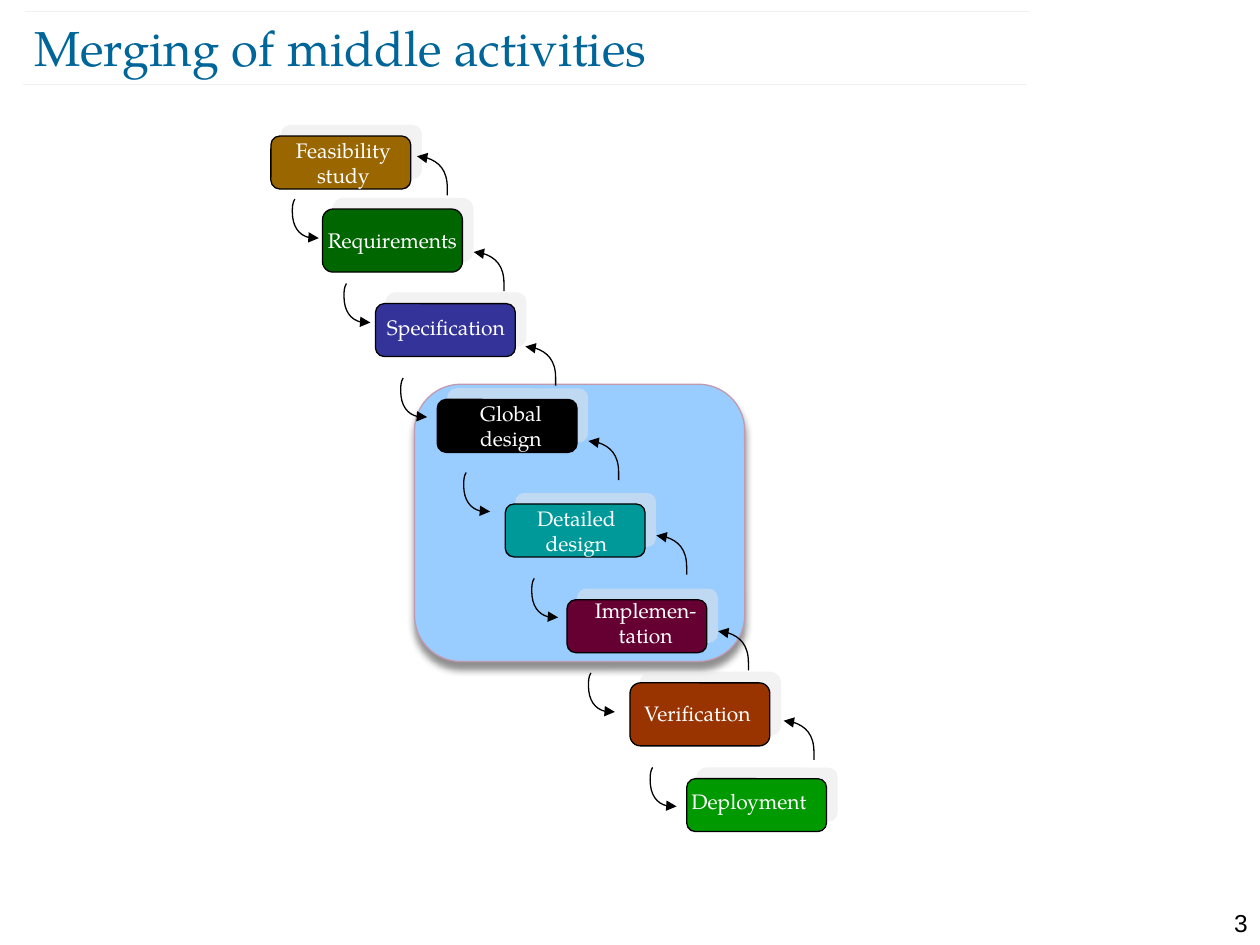
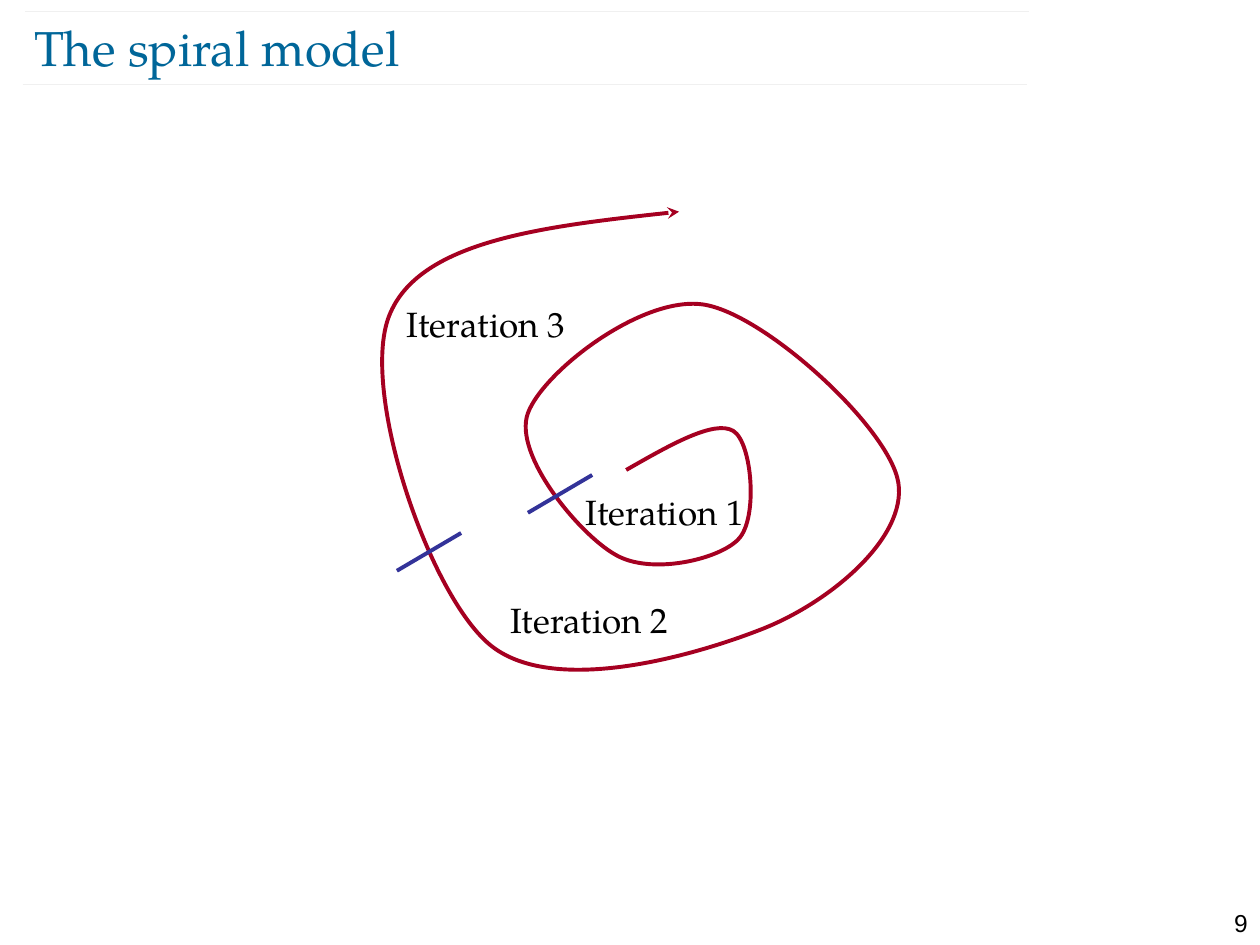
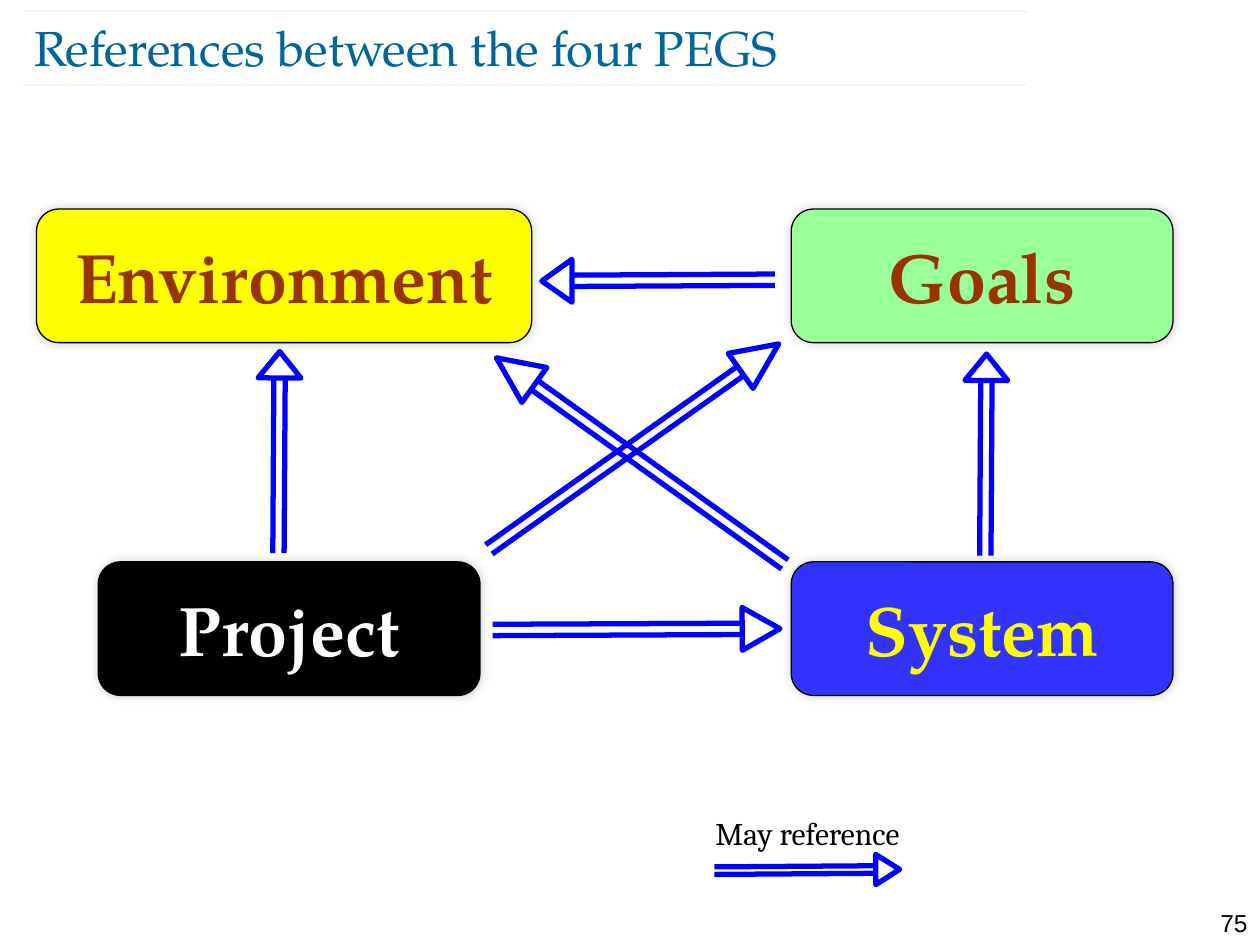
from dataclasses import dataclass
from math import atan2, cos, degrees, sin

from lxml.etree import SubElement
from pptx import Presentation
from pptx.dml.color import RGBColor
from pptx.enum.shapes import MSO_CONNECTOR, MSO_SHAPE
from pptx.enum.text import MSO_ANCHOR, PP_ALIGN
from pptx.oxml.ns import qn
from pptx.util import Inches, Pt


@dataclass(frozen=True)
class Theme:
    serif: str = "TeX Gyre Pagella"
    legend_font: str = "Cambria"
    number_font: str = "Arial"
    title: str = "006699"
    rule: str = "F0F0F0"
    black: str = "000000"
    white: str = "FFFFFF"
    brown: str = "993300"
    yellow: str = "FFFF00"
    merged_fill: str = "99CCFF"
    merged_line: str = "C29AB0"
    echo: str = "E7E6E6"
    spiral: str = "A50021"
    cut: str = "333399"
    reference: str = "0000FF"
    title_size: int = 28
    step_size: int = 12
    number_size: int = 14
    iteration_size: int = 20
    legend_size: int = 18
    part_size: int = 40


theme = Theme()


def write(shape, text, size, color=theme.black, font=theme.serif, bold=False,
          align=PP_ALIGN.LEFT, anchor=MSO_ANCHOR.TOP, wrap=True, inset=None):
    frame = shape.text_frame
    frame.word_wrap = wrap
    frame.vertical_anchor = anchor
    if inset is not None:
        frame.margin_left = frame.margin_right = Inches(inset)
        frame.margin_top = frame.margin_bottom = Inches(inset)
    paragraph = frame.paragraphs[0]
    paragraph.text = text
    paragraph.alignment = align
    for run in paragraph.runs:
        run.font.name = font
        run.font.size = Pt(size)
        run.font.bold = bold
        run.font.color.rgb = RGBColor.from_string(color)
    for line_break in paragraph._p.iter(qn("a:br")):
        SubElement(line_break, qn("a:rPr"), sz=str(size * 100))


def draw_curve(slide, points, color, width, arrow_end, arrow_type):
    start, *controls = [(Inches(x), Inches(y)) for x, y in points]
    builder = slide.shapes.build_freeform(*start)
    builder.add_line_segments(controls, close=False)
    curve = builder.convert_to_shape()
    outline = next(curve._element.iter(qn("a:path")))
    segments = list(outline.iter(qn("a:lnTo")))
    for first in range(0, len(segments), 3):
        bezier = SubElement(outline, qn("a:cubicBezTo"))
        for segment in segments[first:first + 3]:
            bezier.append(segment[0])
            outline.remove(segment)
    curve.fill.background()
    curve.line.color.rgb = RGBColor.from_string(color)
    curve.line.width = Pt(width)
    curve.shadow.inherit = False
    SubElement(curve.line._get_or_add_ln(), qn(arrow_end), type=arrow_type)


deck = Presentation()
deck.slide_width, deck.slide_height = Inches(10), Inches(7.5)
slides = []
straight_lines = []
panels = []

for title, number in [
    ("Merging of middle activities", "3"),
    ("The spiral model", "9"),
    ("References between the four PEGS", "75"),
]:
    slide = deck.slides.add_slide(deck.slide_layouts[6])
    slides.append(slide)
    page_number = slide.shapes.add_textbox(Inches(9.45), Inches(7.16), Inches(0.55), Inches(0.24))
    write(page_number, number, theme.number_size, font=theme.number_font, align=PP_ALIGN.RIGHT)
    for left, top in [(0.18, 0.67), (0.2, 0.09)]:
        rule = slide.shapes.add_connector(
            MSO_CONNECTOR.STRAIGHT, Inches(left), Inches(top), Inches(left + 7.97), Inches(top))
        straight_lines.append((rule, theme.rule, 0.5))
    heading = slide.shapes.add_textbox(Inches(0.27), Inches(0.13), Inches(8.69), Inches(0.48))
    write(heading, title, theme.title_size, theme.title, anchor=MSO_ANCHOR.MIDDLE, inset=0)

waterfall, spiral, pegs = slides

merged = waterfall.shapes.add_shape(
    MSO_SHAPE.ROUNDED_RECTANGLE, Inches(3.29), Inches(3.05), Inches(2.62), Inches(2.2))
merged_shadow = (theme.black, 43, 4, 4, 90)
echo_shadow = (theme.echo, 50, 0, 8.5, 315)
glow_shadow = (theme.black, 20, 6, 0, 315)
panels.append((merged, theme.merged_fill, theme.merged_line, merged_shadow))

forward_curve = [(0.02, 0), (0, 0.03), (0, 0.07), (0, 0.1), (0, 0.22), (0.07, 0.31),
                 (0.17, 0.31), (0.18, 0.31), (0.19, 0.31), (0.21, 0.31)]
back_curve = [(0, 0), (0.14, 0), (0.24, 0.11), (0.24, 0.25),
              (0.24, 0.27), (0.24, 0.29), (0.24, 0.31)]

steps = [
    ("Feasibility\nstudy", "996600", (2.15, 1.08, 0.42), (2.23, 1.09, 0.99)),
    ("Requirements", "006600", (2.56, 1.66, 0.5), (2.58, 1.81, 1.07)),
    ("Specification", "333399", (2.98, 2.41, 0.42), (3.02, 2.5, 1.04)),
    ("Global\ndesign", "000000", (3.47, 3.17, 0.42), (3.56, 3.18, 0.99)),
    ("Detailed\ndesign", "009999", (4.01, 4, 0.42), (4.08, 4.01, 0.99)),
    ("Implemen-\ntation", "660033", (4.5, 4.76, 0.42), (4.51, 4.74, 1.23)),
    ("Verification", "993300", (5, 5.42, 0.5), (5.04, 5.56, 0.99)),
    ("Deployment", "009900", (5.45, 6.18, 0.42), (5.29, 6.26, 1.31)),
]
for name, fill, (left, top, height), (label_left, label_top, label_width) in steps:
    step = waterfall.shapes.add_shape(
        MSO_SHAPE.ROUNDED_RECTANGLE, Inches(left), Inches(top), Inches(1.11), Inches(height))
    panels.append((step, fill, theme.black, echo_shadow))
    label = waterfall.shapes.add_textbox(
        Inches(label_left), Inches(label_top), Inches(label_width),
        Inches(0.2 * len(name.split("\n"))))
    write(label, name, theme.step_size, theme.white, align=PP_ALIGN.CENTER, inset=0)

forward_starts = [(2.32, 1.58), (2.73, 2.25), (3.18, 3), (3.68, 3.75),
                  (4.22, 4.59), (4.67, 5.34), (5.16, 6.09)]
back_ends = [(3.31, 1.24), (3.76, 2), (4.17, 2.75), (4.67, 3.5),
             (5.21, 4.25), (5.7, 5.01), (6.22, 5.72)]
for origins, curve_points, arrow_end in [
    (forward_starts, forward_curve, "a:tailEnd"),
    (back_ends, back_curve, "a:headEnd"),
]:
    for left, top in origins:
        placed = [(left + x, top + y) for x, y in curve_points]
        draw_curve(waterfall, placed, theme.black, 0.75, arrow_end, "triangle")

spiral_points = [
    (4.97, 3.73), (5.32, 3.53), (5.67, 3.33), (5.82, 3.42), (5.97, 3.51), (6.02, 4.12),
    (5.86, 4.28), (5.71, 4.44), (5.16, 4.57), (4.88, 4.4), (4.6, 4.24), (4.07, 3.61),
    (4.19, 3.28), (4.31, 2.95), (5.11, 2.33), (5.6, 2.42), (6.09, 2.51), (7.06, 3.4),
    (7.13, 3.83), (7.2, 4.27), (6.58, 4.79), (6.03, 5), (5.49, 5.21), (4.37, 5.53),
    (3.88, 5.11), (3.39, 4.69), (2.84, 3.05), (3.1, 2.48), (3.35, 1.91), (4.37, 1.79),
    (5.39, 1.68),
]
draw_curve(spiral, spiral_points, theme.spiral, 2.25, "a:tailEnd", "stealth")
for left, bottom in [(4.19, 4.07), (3.15, 4.53)]:
    cut = spiral.shapes.add_connector(
        MSO_CONNECTOR.STRAIGHT, Inches(left), Inches(bottom),
        Inches(left + 0.51), Inches(bottom - 0.3))
    straight_lines.append((cut, theme.cut, 2.25))
for iteration, (left, top) in enumerate([(4.55, 3.84), (3.95, 4.7), (3.13, 2.35)], 1):
    label = spiral.shapes.add_textbox(Inches(left), Inches(top), Inches(1.48), Inches(0.44))
    write(label, f"Iteration {iteration}", theme.iteration_size, wrap=False)

for name, fill, color, left, top, width in [
    ("Environment", theme.yellow, theme.brown, 0.29, 1.66, 3.93),
    ("System", "3333FF", theme.yellow, 6.28, 4.46, 3.03),
    ("Goals", "99FF99", theme.brown, 6.28, 1.66, 3.03),
    ("Project", theme.black, theme.white, 0.78, 4.46, 3.03),
]:
    part = pegs.shapes.add_shape(
        MSO_SHAPE.ROUNDED_RECTANGLE, Inches(left), Inches(top), Inches(width), Inches(1.06))
    panels.append((part, fill, theme.black, glow_shadow))
    write(part, name, theme.part_size, color, bold=True,
          align=PP_ALIGN.CENTER, anchor=MSO_ANCHOR.MIDDLE)

legend = pegs.shapes.add_textbox(Inches(5.58), Inches(6.41), Inches(2.08), Inches(0.4))
write(legend, "May reference", theme.legend_size, font=theme.legend_font)

for (tail_x, tail_y), (tip_x, tip_y), head_length, head_width, gap in [
    ((2.21, 4.39), (2.22, 2.79), 0.21, 0.34, 0.09),
    ((6.15, 2.22), (4.3, 2.23), 0.24, 0.34, 0.09),
    ((3.88, 4.36), (6.18, 2.73), 0.37, 0.34, 0.09),
    ((3.91, 5), (6.19, 4.99), 0.3, 0.34, 0.09),
    ((6.23, 4.48), (3.94, 2.84), 0.37, 0.34, 0.09),
    ((7.82, 4.41), (7.83, 2.81), 0.21, 0.34, 0.09),
    ((5.67, 6.91), (7.14, 6.9), 0.19, 0.24, 0.06),
]:
    angle = atan2(tip_y - tail_y, tip_x - tail_x)
    across, down = cos(angle), sin(angle)
    shaft_x = tip_x - across * (head_length - 0.03)
    shaft_y = tip_y - down * (head_length - 0.03)
    for offset in (-gap / 2, gap / 2):
        shift_x, shift_y = -down * offset, across * offset
        rail = pegs.shapes.add_connector(
            MSO_CONNECTOR.STRAIGHT, Inches(tail_x + shift_x), Inches(tail_y + shift_y),
            Inches(shaft_x + shift_x), Inches(shaft_y + shift_y))
        straight_lines.append((rail, theme.reference, 3))
    center_x = tip_x - across * head_length / 2
    center_y = tip_y - down * head_length / 2
    arrowhead = pegs.shapes.add_shape(
        MSO_SHAPE.ISOSCELES_TRIANGLE, Inches(center_x - head_width / 2),
        Inches(center_y - head_length / 2), Inches(head_width), Inches(head_length))
    arrowhead.rotation = degrees(angle) + 90
    arrowhead.fill.solid()
    arrowhead.fill.fore_color.rgb = RGBColor.from_string(theme.white)
    arrowhead.line.color.rgb = RGBColor.from_string(theme.reference)
    arrowhead.line.width = Pt(3)
    arrowhead.shadow.inherit = False

for line, color, width in straight_lines:
    line.line.color.rgb = RGBColor.from_string(color)
    line.line.width = Pt(width)
    SubElement(line._element.spPr, qn("a:effectLst"))

for panel, fill, outline_color, (shade, opacity, blur, distance, direction) in panels:
    panel.fill.solid()
    panel.fill.fore_color.rgb = RGBColor.from_string(fill)
    panel.line.color.rgb = RGBColor.from_string(outline_color)
    panel.line.width = Pt(0.75)
    panel.shadow.inherit = False
    effects = panel._element.spPr.find(qn("a:effectLst"))
    shadow = SubElement(
        effects, qn("a:outerShdw"), blurRad=str(Pt(blur)), dist=str(Pt(distance)),
        dir=str(direction * 60000), algn="ctr", rotWithShape="0")
    shadow_color = SubElement(shadow, qn("a:srgbClr"), val=shade)
    SubElement(shadow_color, qn("a:alpha"), val=str(opacity * 1000))

deck.save("out.pptx")
